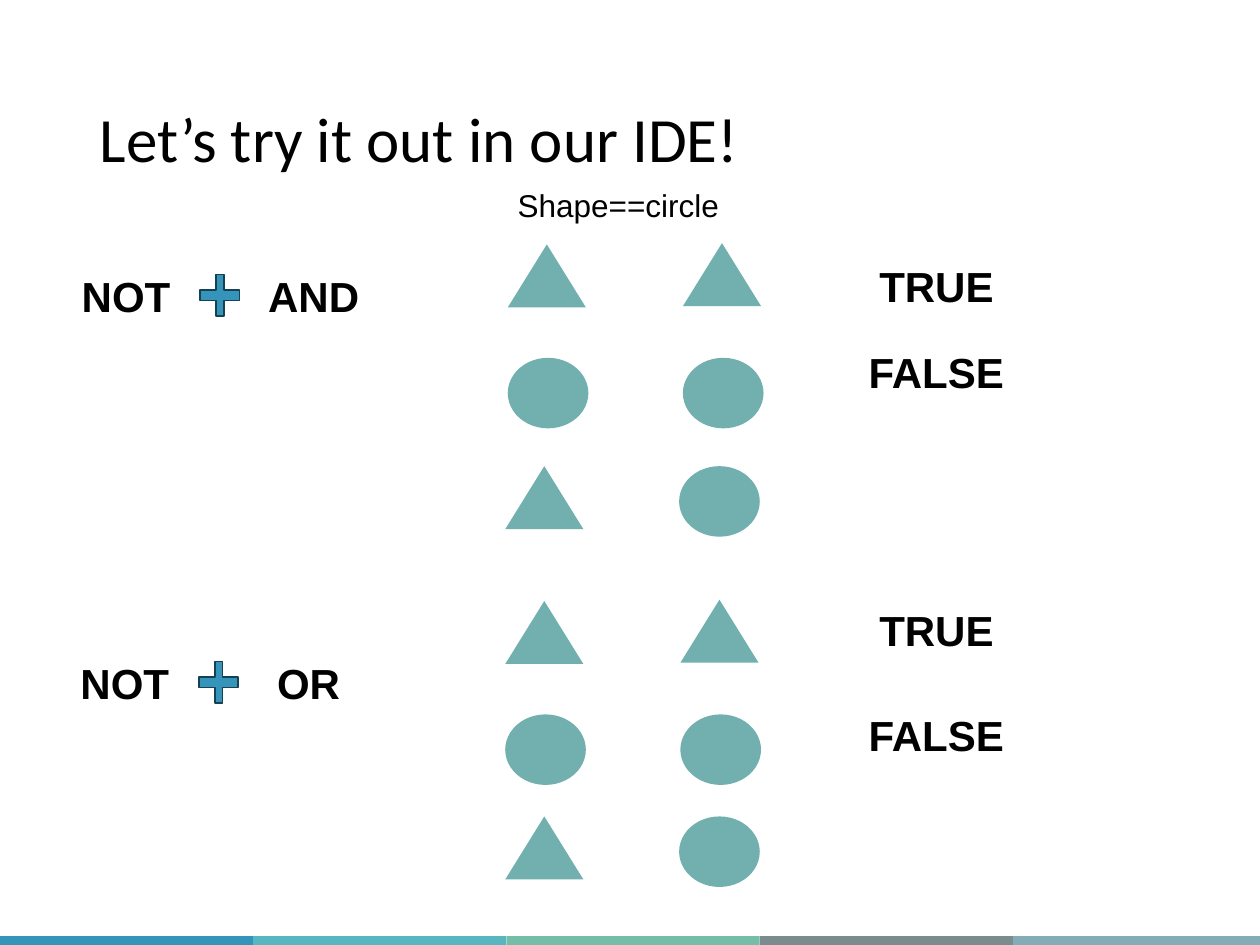
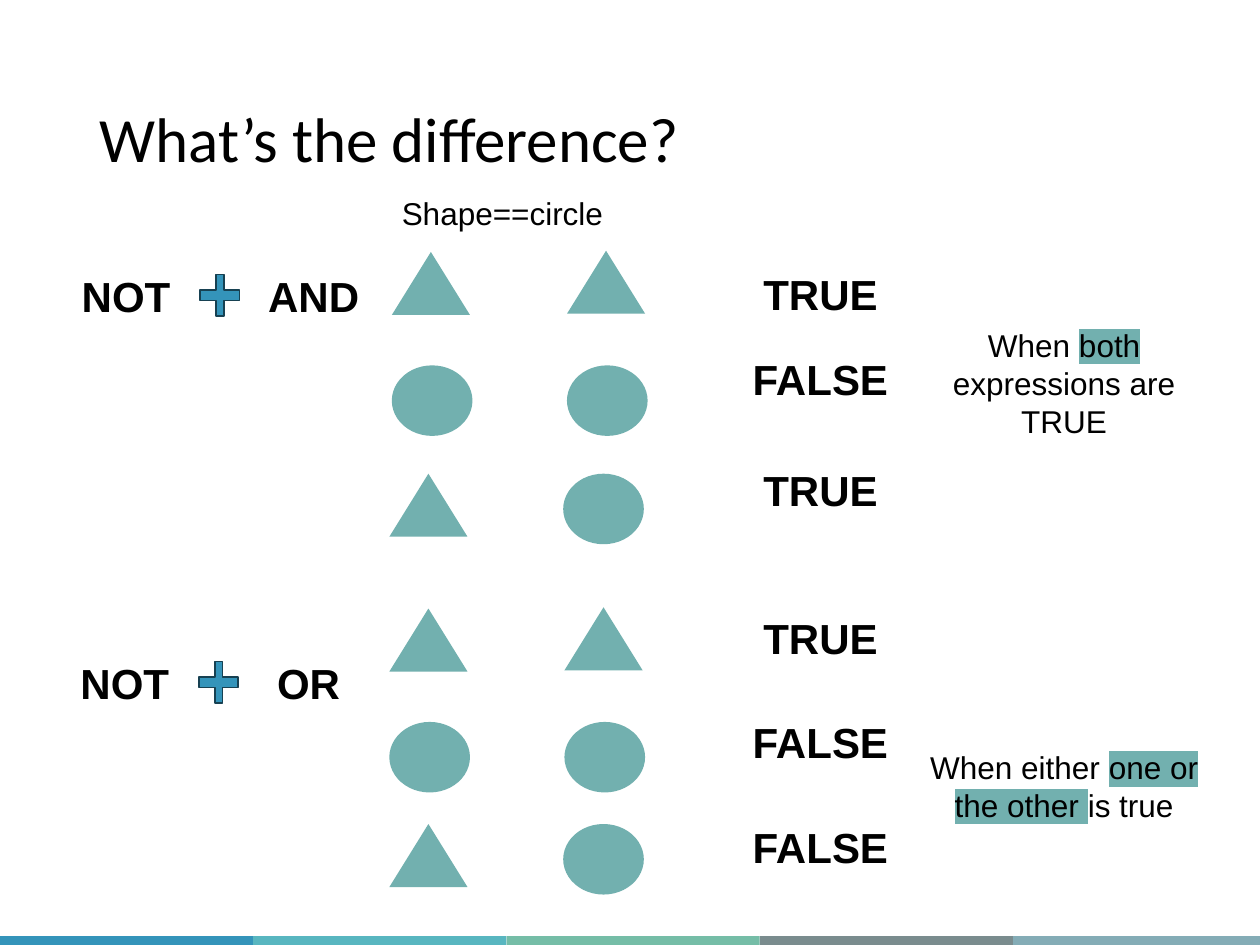
from dataclasses import dataclass

from lxml.etree import SubElement
from pptx import Presentation
from pptx.dml.color import RGBColor
from pptx.enum.shapes import MSO_SHAPE as Preset
from pptx.enum.text import MSO_ANCHOR as Anchor, MSO_AUTO_SIZE as Fit, PP_ALIGN as Align
from pptx.oxml.ns import qn
from pptx.util import Inches, Pt


@dataclass(frozen=True)
class Theme:
    ink: str = "000000"
    figure: str = "72B0AF"
    plus: str = "3494BA"
    plus_edge: str = "174152"
    band: tuple = ("3494BA", "58B6C0", "75BDA7", "7A8C8E", "84ACB6")
    title_font: str = "Calibri"
    body_font: str = "Arial"
    title_size: int = 36
    label_size: int = 24
    note_size: int = 18


THEME = Theme()
COLUMNS, ROWS = 100, 75
WIDTH, HEIGHT = Inches(10), Inches(7.5)


@dataclass(frozen=True)
class Box:
    col: float
    row: float
    cols: float
    rows: float

    def inner(self, col, row, cols, rows):
        return Box(self.col + col, self.row + row, cols, rows)

    def frame(self):
        across, down = WIDTH / COLUMNS, HEIGHT / ROWS
        return (round(self.col * across), round(self.row * down),
                round(self.cols * across), round(self.rows * down))


PAGE = Box(0, 0, COLUMNS, ROWS)
TRIANGLE = (Preset.ISOSCELES_TRIANGLE, 6.2, 5)
CIRCLE = (Preset.OVAL, 6.4, 5.6)
ANSWER_COLS = {"TRUE": 11.2, "FALSE": 12.9}
ANSWER_CENTRE = 34.3
AND_ROWS = (
    (TRIANGLE, (0.2, 5.1), TRIANGLE, (14.1, 5), "TRUE", 5.9),
    (CIRCLE, (0.2, 14.1), CIRCLE, (14.1, 14.1), "FALSE", 12.7),
    (TRIANGLE, (0, 22.7), CIRCLE, (13.8, 22.7), "TRUE", 21.5),
)
OR_ROWS = (
    (TRIANGLE, (0, 33.4), TRIANGLE, (13.9, 33.3), "TRUE", 33.2),
    (CIRCLE, (0, 42.4), CIRCLE, (13.9, 42.4), "FALSE", 41.5),
    (TRIANGLE, (0, 50.5), CIRCLE, (13.8, 50.5), "FALSE", 49.8),
)


def style_run(run, size, font=THEME.body_font, bold=False, highlight=None):
    run.font.size = Pt(size)
    run.font.name = font
    run.font.bold = bold
    run.font.color.rgb = RGBColor.from_string(THEME.ink)
    if highlight:
        properties = run._r.get_or_add_rPr()
        marker = SubElement(properties, qn("a:highlight"))
        SubElement(marker, qn("a:srgbClr")).set("val", highlight)
        properties.find(qn("a:solidFill")).addnext(marker)


def add_figure(slide, preset, box, fill, edge=None):
    figure = slide.shapes.add_shape(preset, *box.frame())
    figure.shadow.inherit = False
    figure.fill.solid()
    figure.fill.fore_color.rgb = RGBColor.from_string(fill)
    if edge:
        figure.line.color.rgb = RGBColor.from_string(edge)
        figure.line.width = Pt(1)
    else:
        figure.line.fill.background()
    return figure


def add_words(slide, box, runs, size, bold=False, wrap=False):
    frame = slide.shapes.add_textbox(*box.frame()).text_frame
    frame.word_wrap = wrap
    frame.auto_size = Fit.SHAPE_TO_FIT_TEXT
    paragraph = frame.paragraphs[0]
    paragraph.alignment = Align.CENTER if wrap else Align.LEFT
    for words, highlight in runs:
        run = paragraph.add_run()
        run.text = words
        style_run(run, size, bold=bold, highlight=highlight)


def add_label(slide, box, word):
    add_words(slide, box, [(word, None)], THEME.label_size, bold=True)


def add_band(slide, box):
    for index, colour in enumerate(THEME.band):
        add_figure(slide, Preset.RECTANGLE,
                   box.inner(index * box.cols, 0, box.cols, box.rows), colour)


def add_title(slide, box, words):
    title = slide.shapes.title
    title.left, title.top, title.width, title.height = box.frame()
    title.text_frame.vertical_anchor = Anchor.MIDDLE
    paragraph = title.text_frame.paragraphs[0]
    paragraph.alignment = Align.LEFT
    paragraph.line_spacing = 0.9
    run = paragraph.add_run()
    run.text = words
    style_run(run, THEME.title_size, THEME.title_font)


def add_operators(slide, box, operator, offset, cols):
    add_label(slide, box.inner(0, 0, 9.1, box.rows), "NOT")
    plus = add_figure(slide, Preset.CROSS, box.inner(10.4, 0.8, 3.1, 3.3),
                      THEME.plus, THEME.plus_edge)
    plus.adjustments[0] = 0.4
    add_label(slide, box.inner(offset, 0, cols, box.rows), operator)


def add_truth_board(slide, box, answers_per_group):
    add_words(slide, box.inner(0, 0, 18.8, 4), [("Shape==circle", None)], THEME.note_size)
    for group in (AND_ROWS, OR_ROWS):
        for index, (first, first_at, second, second_at, answer, answer_row) in enumerate(group):
            for (preset, cols, rows), place in ((first, first_at), (second, second_at)):
                add_figure(slide, preset, box.inner(*place, cols, rows), THEME.figure)
            if index < answers_per_group:
                cols = ANSWER_COLS[answer]
                add_label(slide, box.inner(ANSWER_CENTRE - cols / 2, answer_row, cols, 5), answer)


def add_logic_slide(deck, title, board, answers_per_group, notes=()):
    slide = deck.slides.add_slide(deck.slide_layouts[5])
    add_band(slide, PAGE.inner(0, 74.3, 20.1, 1))
    add_title(slide, PAGE.inner(6.9, 4, 86.2, 14.5), title)
    add_operators(slide, PAGE.inner(5.5, 21, 24.1, 5), "AND", 14.8, 9.3)
    add_operators(slide, PAGE.inner(5.4, 51.7, 22.7, 5), "OR", 15.6, 7.1)
    add_truth_board(slide, board, answers_per_group)
    for box, runs in notes:
        add_words(slide, box, runs, THEME.note_size, wrap=True)


def main():
    deck = Presentation()
    deck.slide_width, deck.slide_height = WIDTH, HEIGHT
    add_logic_slide(deck, "Let’s try it out in our IDE!", PAGE.inner(40.1, 14.3, 41, 56), 2)
    add_logic_slide(deck, "What’s the difference?", PAGE.inner(30.9, 14.9, 41, 56), 3, (
        (PAGE.inner(72.7, 25.4, 23.5, 10.1),
         [("When ", None), ("both ", THEME.figure), ("expressions are TRUE", None)]),
        (PAGE.inner(72.7, 58.9, 23.5, 7.1),
         [("When either ", None), ("one or the other ", THEME.figure), ("is true", None)]),
    ))
    deck.save("out.pptx")


if __name__ == "__main__":
    main()
